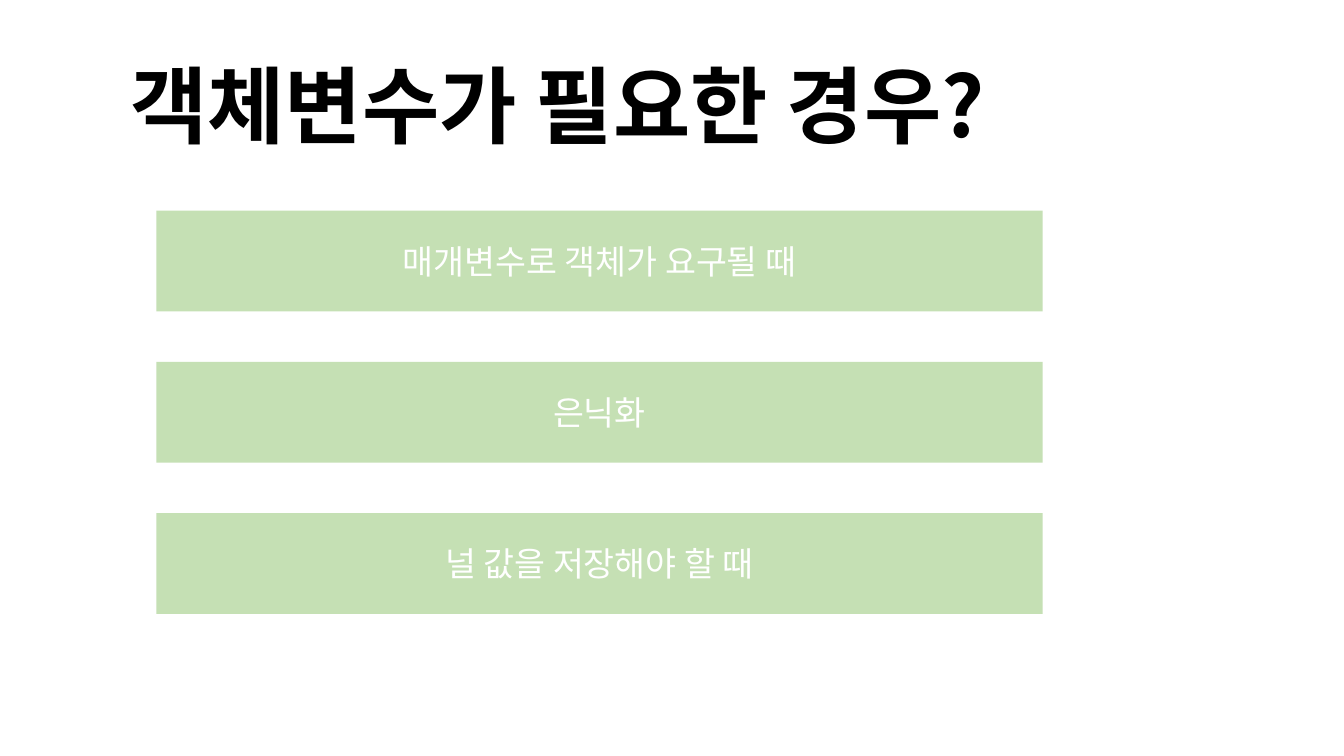
from lxml import etree
from pptx import Presentation, util as u
from pptx.dml.color import RGBColor
from pptx.enum import shapes, text
from pptx.oxml import ns

BLACK = RGBColor(0x00, 0x00, 0x00)
WHITE = RGBColor(0xFF, 0xFF, 0xFF)
LIGHT_GREEN = RGBColor(0xC5, 0xE0, 0xB4)
FONT = "Noto Sans CJK KR"

TITLE = "객체변수가 필요한 경우?"
CASES = ["매개변수로 객체가 요구될 때", "은닉화", "널 값을 저장해야 할 때"]
TITLE_FORMAT = {"size": u.Pt(60), "bold": True, "name": FONT}
CASE_FORMAT = {"size": u.Pt(24), "bold": False, "name": FONT}


def write(frame, wording, font_format, color, align, spacing=1.0):
    """Fill a frame with one middle-anchored paragraph."""
    frame.word_wrap = True
    frame.auto_size = text.MSO_AUTO_SIZE.NONE
    frame.vertical_anchor = text.MSO_ANCHOR.MIDDLE
    paragraph = frame.paragraphs[0]
    paragraph.alignment = align
    paragraph.line_spacing = spacing
    run = paragraph.add_run()
    run.text = wording
    for attribute, value in font_format.items():
        setattr(run.font, attribute, value)
    run.font.color.rgb = color
    # Hangul takes the East Asian typeface
    east_asian = etree.SubElement(run.font._element, ns.qn("a:ea"))
    east_asian.set("typeface", FONT)


def place_title(slide, left, top, width, height):
    title = slide.shapes.title
    title.left, title.top, title.width, title.height = map(
        u.Inches, (left, top, width, height))
    write(title.text_frame, TITLE, TITLE_FORMAT, BLACK, text.PP_ALIGN.LEFT, 0.9)


def place_cases(slide, left, top, width, height, gap=0.5):
    """Stack equal bars in the box, one per case."""
    bar_height = (height - gap * (len(CASES) - 1)) / len(CASES)
    for row, case in enumerate(CASES):
        bar_top = top + row * (bar_height + gap)
        bar = slide.shapes.add_shape(
            shapes.MSO_SHAPE.RECTANGLE,
            *map(u.Inches, (left, bar_top, width, bar_height)))
        bar.shadow.inherit = False
        bar.fill.solid()
        bar.fill.fore_color.rgb = LIGHT_GREEN
        bar.line.fill.background()
        write(bar.text_frame, case, CASE_FORMAT, WHITE, text.PP_ALIGN.CENTER)


presentation = Presentation()
presentation.slide_width = u.Inches(13.33)
presentation.slide_height = u.Inches(7.5)

# Title Only layout
slide = presentation.slides.add_slide(presentation.slide_layouts[5])
slide.background.fill.solid()
slide.background.fill.fore_color.rgb = WHITE

place_title(slide, 1.19, 0.59, 11.24, 1)
place_cases(slide, 1.55, 2.09, 8.79, 4)

presentation.save("out.pptx")
